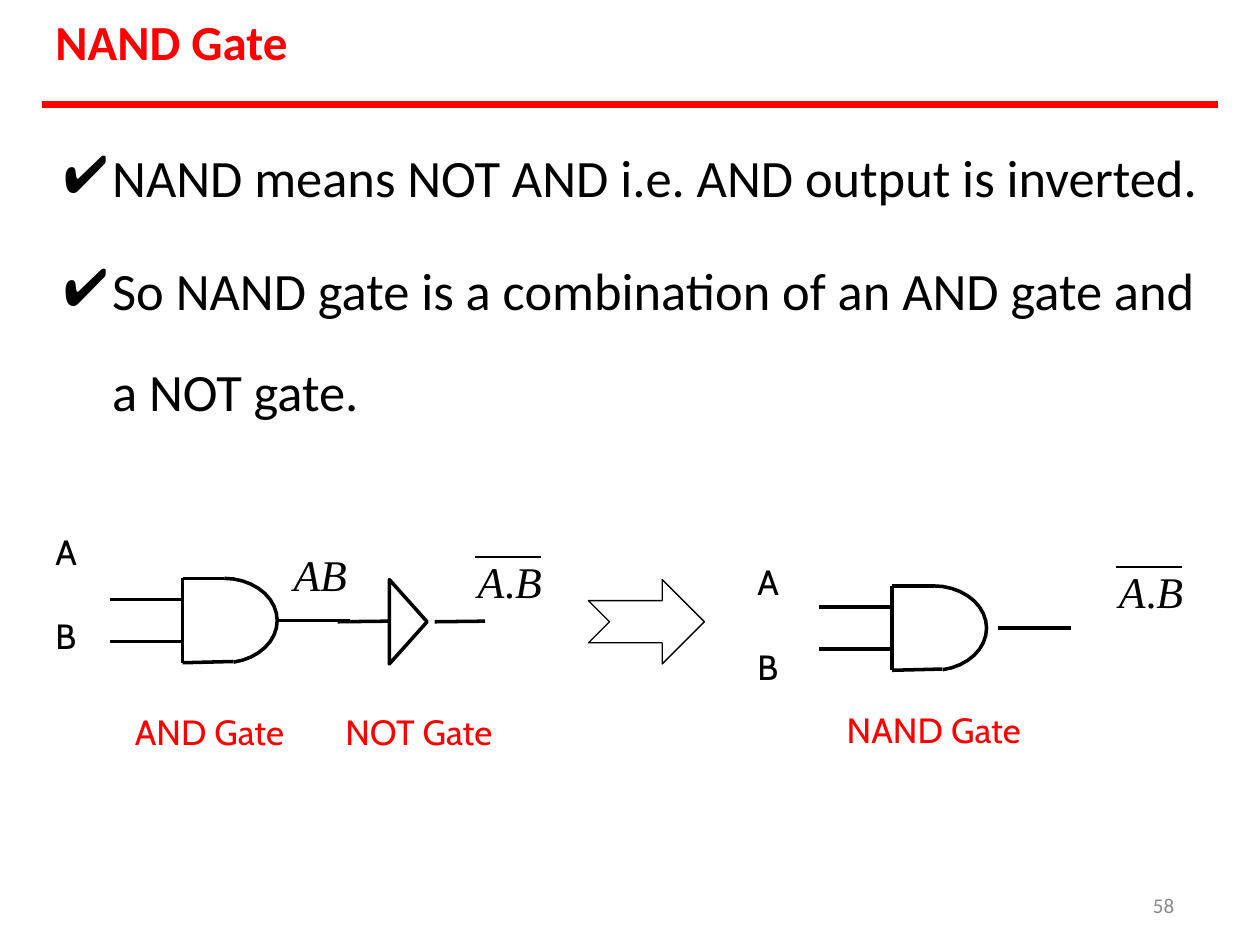
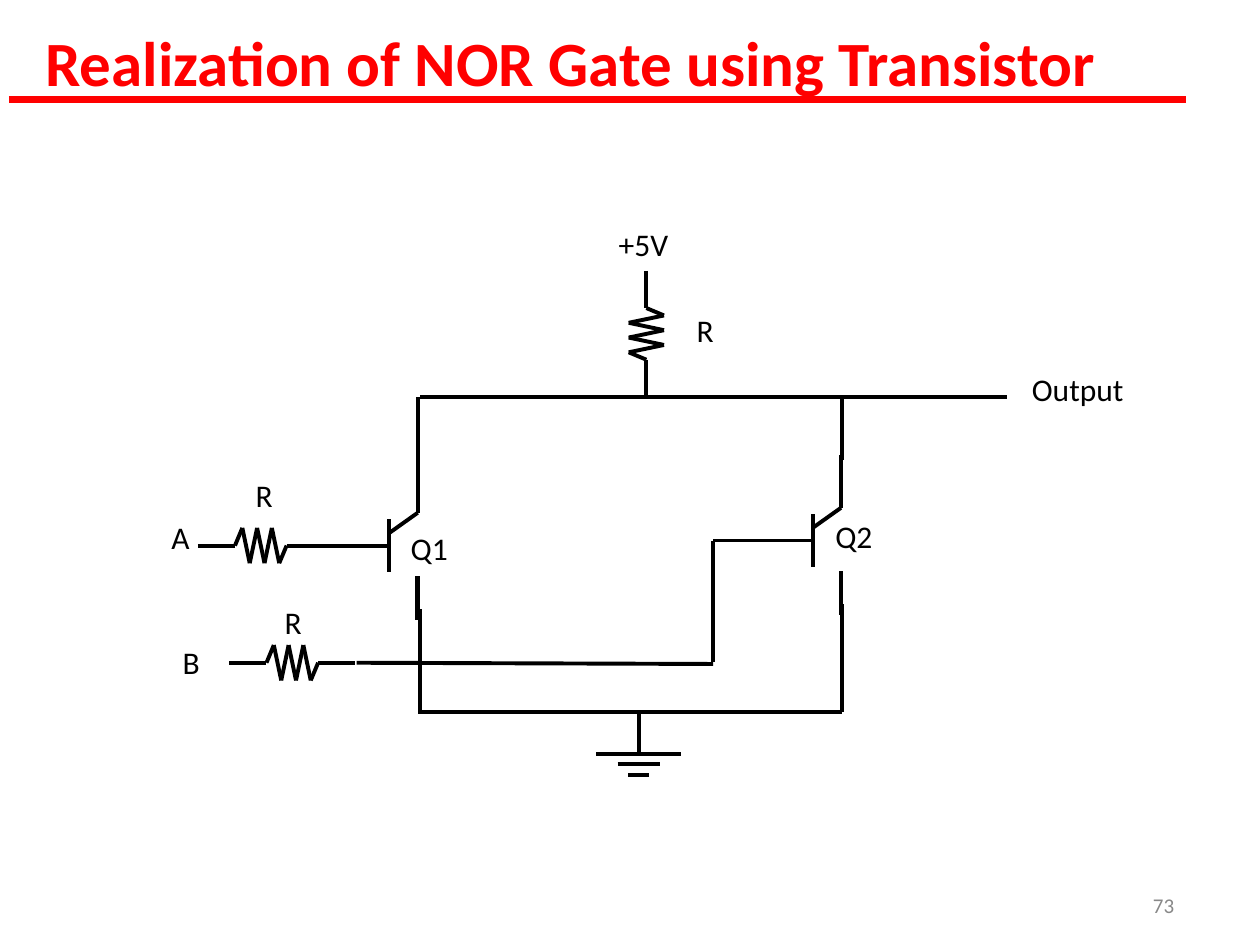
import math
from itertools import pairwise

from lxml import etree
from pptx import Presentation
from pptx import util as u
from pptx.dml import color
from pptx.enum import shapes, text
from pptx.oxml import ns

COLS, ROWS = 100, 75
INK, RED, GRAY = "000000", "FF0000", "888888"
BODY, SIGN, MATH = "Calibri", "Cabin", "Times New Roman"

deck = Presentation()
deck.slide_width, deck.slide_height = u.Inches(10), u.Inches(7.5)


def rgb(code):
    return color.RGBColor.from_string(code)


def col(n):
    return u.Emu(round(n * deck.slide_width / COLS))


def row(n):
    return u.Emu(round(n * deck.slide_height / ROWS))


def area(x, y, w, h):
    return col(x), row(y), col(w), row(h)


def pen(item, width, tint=INK):
    item.line.color.rgb = rgb(tint)
    item.line.width = u.Pt(width)


def wire(page, x1, y1, x2, y2, width=2.25, tint=INK):
    line = page.shapes.add_connector(
        shapes.MSO_CONNECTOR.STRAIGHT, col(x1), row(y1), col(x2), row(y2))
    pen(line, width, tint)
    etree.SubElement(line._element.spPr, ns.qn("a:effectLst"))


def hollow(shape, width):
    shape.shadow.inherit = False
    shape.fill.background()
    pen(shape, width)


def trace(page, spots, width, close=False):
    spots = [(col(x), row(y)) for x, y in spots]
    path = page.shapes.build_freeform(*spots[0])
    path.add_line_segments(spots[1:], close=close)
    hollow(path.convert_to_shape(), width)


def frame(shape, inset=0.01, left=0.02):
    body = shape.text_frame
    body.word_wrap = True
    body.auto_size = text.MSO_AUTO_SIZE.NONE
    body.vertical_anchor = text.MSO_ANCHOR.TOP
    body.margin_right = body.margin_bottom = 0
    body.margin_left = u.Inches(left)
    body.margin_top = u.Inches(inset)
    return body


def write(para, words, size, font=BODY, tint=INK, bold=False, slant=False):
    run = para.add_run()
    run.text = words
    face = run.font
    face.name, face.size = font, u.Pt(size)
    face.bold, face.italic = bold, slant
    face.color.rgb = rgb(tint)


def label(page, words, box, size=18, font=BODY, tint=INK, inset=0.01):
    body = frame(page.shapes.add_textbox(*area(*box)), inset)
    write(body.paragraphs[0], words, size, font, tint)


def start(title, size, box, rule, number):
    page = deck.slides.add_slide(deck.slide_layouts[5])
    head = page.shapes.title
    head.left, head.top, head.width, head.height = area(*box)
    para = frame(head).paragraphs[0]
    para.alignment = text.PP_ALIGN.LEFT
    write(para, title, size, tint=RED, bold=True)
    x, y = rule
    wire(page, x, y, x + 93.4, y, 4, RED)
    label(page, number, (91.3, 70.7, 3.1, 1.9), 12, tint=GRAY)
    return page


def points(page, box, lines):
    body = frame(page.shapes.add_textbox(*area(*box)), left=0)
    for i, words in enumerate(lines):
        para = body.add_paragraph() if i else body.paragraphs[0]
        props = para._p.get_or_add_pPr()
        props.set("marL", str(u.Inches(0.39)))
        props.set("indent", str(u.Inches(-0.38)))
        tint = etree.SubElement(props, ns.qn("a:buClr"))
        etree.SubElement(tint, ns.qn("a:srgbClr"), val=INK)
        etree.SubElement(props, ns.qn("a:buSzPct"), val="125000")
        etree.SubElement(props, ns.qn("a:buChar"), char="✔")
        if i:
            para.line_spacing, para.space_before = 1.6, u.Pt(7.2)
        write(para, words, 30)


def gate(page, x, y, gap=0):
    w, h, flat, lead = 7.5, 6.7, 3.3, 5.8
    turns = [math.radians(a) for a in range(-90, 81, 10)]
    trace(page, [(x + flat + (w - flat) * math.cos(t),
                  y + h / 2 * (1 + math.sin(t))) for t in turns], 2)
    wire(page, x, y, x, y + h, 2)
    wire(page, x, y, x + flat, y, 2)
    wire(page, x, y + h, x + flat + 0.7, y + h - 0.1, 2)
    for pin in (y + h / 4, y + h * 3 / 4):
        wire(page, x - lead, pin, x, pin, 2)
    left = x + w + gap
    wire(page, left, y + h / 2, left + lead, y + h / 2, 2)


def invert(page, x, y):
    w, h, lead = 3, 6.7, 4
    mid = y + h / 2
    trace(page, [(x, y), (x + w, mid), (x, y + h)], 2, True)
    for left in (x - lead - 0.1, x + w + 0.6):
        wire(page, left, mid, left + lead, mid - 0.05, 2)


def inputs(page, x, y):
    for i, name in enumerate("AB"):
        label(page, name, (x, y + 6.7 * i, 1.9, 3.6), 20, SIGN)


def term(page, words, x, y, w):
    body = frame(page.shapes.add_textbox(*area(x, y, w, 4.5)), 0.02)
    for sign in words:
        write(body.paragraphs[0], sign, 25, MATH, slant=sign != ".")


def negate(page, x, y):
    wire(page, x, y, x + 5.2, y, 1.21)
    term(page, ["A", ".", "B"], x, y - 0.4, 6)


def resist(page, x, y, down=False):
    lead, size, wave = 2.95, 10, 1.4
    step = (size - 2 * lead) / 7
    spots = [(0, 0), (lead, 0)]
    spots += [(lead + step * i, wave * (-1) ** i) for i in range(1, 7)]
    spots += [(size - lead, 0), (size, 0)]
    spots = [(x - d, y + t) if down else (x + t, y + d) for t, d in spots]
    for here, there in pairwise(spots):
        wire(page, *here, *there)


def switch(page, x, y, lead):
    side = x + 2.25
    wire(page, x, y, x, y + 4.2)
    wire(page, x - lead, y + 2.1, x, y + 2.1)
    wire(page, x, y + 1.1, side, y - 0.5)
    wire(page, side, y - 4.7, side, y - 0.5)
    wire(page, side, y + 4.55, side, y + 8, 2.75)


def ground(page, x, y):
    wire(page, x, y, x, y + 3.35)
    for i, half in enumerate((4.2, 2.1, 1.05)):
        level = y + 3.35 + 0.82 * i
        wire(page, x - half * 0.8, level, x + half * 0.8, level)


def nand():
    page = start("NAND Gate", 28, (4.2, 0.8, 18.8, 5), (3.3, 8.3), "58")
    points(page, (5, 11.4, 90.8, 22.3), [
        "NAND means NOT AND i.e. AND output is inverted.",
        "So NAND gate is a combination of an AND gate and  a NOT gate."])
    gate(page, 14.5, 45.9)
    invert(page, 30.9, 46)
    gate(page, 70.8, 46.5, 0.9)
    inputs(page, 4.2, 42)
    inputs(page, 59.9, 44.4)
    term(page, ["AB"], 23.1, 43.3, 4.7)
    negate(page, 37.7, 44.2)
    negate(page, 88.6, 45)
    arrow = page.shapes.add_shape(shapes.MSO_SHAPE.NOTCHED_RIGHT_ARROW,
                                  *area(46.7, 46, 9.2, 6.7))
    hollow(arrow, 0.75)
    for name, x, y, w in (("AND Gate", 10.5, 56.3, 12.3),
                          ("NOT Gate", 27.2, 56.3, 12.2),
                          ("NAND Gate", 67, 56.1, 14.1)):
        label(page, name, (x, y, w, 3.6), 20, SIGN, RED)


def nor():
    page = start("Realization of NOR Gate using Transistor", 36,
                 (3.4, 1.75, 93.3, 6.2), (0.7, 7.9), "73")
    rail, base = 31.5, 56.5
    resist(page, 51.3, 21.5, True)
    resist(page, 15.7, 43.3)
    resist(page, 18.2, 52.6)
    switch(page, 30.9, 41.2, 5.2)
    switch(page, 64.5, 40.8, 7.9)
    for ends in ((79.9, rail, 33.3, rail), (66.8, base, 33.2, base),
                 (33.2, 39.4, 33.2, rail), (66.8, 36.5, 66.8, rail),
                 (33.3, base, 33.3, 48.3), (66.8, base, 66.8, 47.9),
                 (56.6, 52.7, 28.3, 52.6), (56.6, 52.5, 56.6, 42.9)):
        wire(page, *ends)
    ground(page, 50.7, base)
    for name, x, y, w in (("+5V", 48.9, 17.75, 4.5), ("R", 55.1, 24.55, 1.7),
                          ("Output", 81.7, 29.25, 7.6), ("A", 13.4, 41.05, 1.7),
                          ("R", 20.1, 37.7, 1.7), ("R", 22.4, 47.8, 1.7),
                          ("B", 14.3, 50.9, 1.7), ("Q1", 32.4, 41.9, 3.3),
                          ("Q2", 66.1, 40.9, 3.3)):
        label(page, name, (x, y, w, 3.3))


def main():
    nand()
    nor()
    deck.save("out.pptx")


if __name__ == "__main__":
    main()
